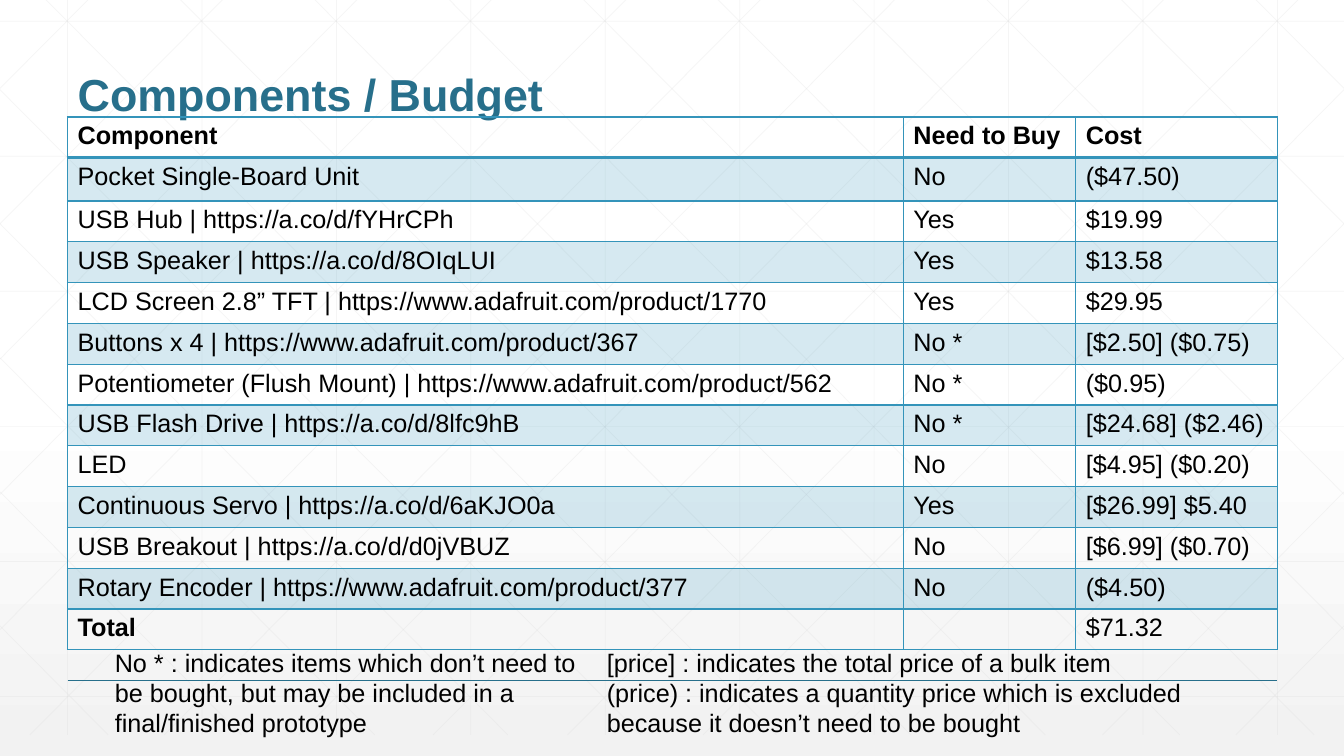
from dataclasses import dataclass

from lxml import etree
from pptx import Presentation
from pptx.dml.color import RGBColor
from pptx.enum.shapes import MSO_CONNECTOR as Connector
from pptx.enum.text import MSO_ANCHOR as Anchor, MSO_AUTO_SIZE as AutoSize, PP_ALIGN as Align
from pptx.oxml.ns import qn
from pptx.util import Inches, Pt

WHITE = RGBColor(0xFF, 0xFF, 0xFF)
BLACK = RGBColor(0x00, 0x00, 0x00)
PALE_GREY = RGBColor(0xF2, 0xF2, 0xF2)
GRID_GREY = RGBColor(0xD9, 0xD9, 0xD9)
ACCENT = RGBColor(0x34, 0x94, 0xBA)
DARK_ACCENT = RGBColor(0x27, 0x6F, 0x8B)
FONT = "Arial"

WIDTH, HEIGHT = 13.33, 7.5
GRID_TOP, GRID_BOTTOM = -0.21, 7.29
GRID_STEP = 4 / 3
DIAGONAL_RUN = 7.45
DIAGONAL_SLOPE = (GRID_BOTTOM - GRID_TOP) / DIAGONAL_RUN

TABLE_HEIGHT = 5.29
FIRST_ITEM_HEIGHT = 0.43
COLUMN_WIDTHS = (8.29, 1.71, 2)


@dataclass(frozen=True)
class Line:
    x1: float
    y1: float
    x2: float
    y2: float

    def mirrored(self) -> "Line":
        return Line(WIDTH - self.x1, self.y1, WIDTH - self.x2, self.y2)


@dataclass(frozen=True)
class Row:
    component: str
    need: str
    cost: str


@dataclass(frozen=True)
class Note:
    left: float
    width: float
    lines: tuple[str, ...]


ROWS = (
    Row("Component", "Need to Buy", "Cost"),
    Row("Pocket Single-Board Unit", "No", "($47.50)"),
    Row("USB Hub | https://a.co/d/fYHrCPh", "Yes", "$19.99"),
    Row("USB Speaker | https://a.co/d/8OIqLUI", "Yes", "$13.58"),
    Row("LCD Screen 2.8” TFT | https://www.adafruit.com/product/1770", "Yes", "$29.95"),
    Row("Buttons x 4 | https://www.adafruit.com/product/367", "No *", "[$2.50] ($0.75)"),
    Row("Potentiometer (Flush Mount) | https://www.adafruit.com/product/562", "No *", "($0.95)"),
    Row("USB Flash Drive | https://a.co/d/8lfc9hB", "No *", "[$24.68] ($2.46)"),
    Row("LED", "No", "[$4.95] ($0.20)"),
    Row("Continuous Servo | https://a.co/d/6aKJO0a", "Yes", "[$26.99] $5.40"),
    Row("USB Breakout | https://a.co/d/d0jVBUZ", "No", "[$6.99] ($0.70)"),
    Row("Rotary Encoder | https://www.adafruit.com/product/377", "No", "($4.50)"),
    Row("Total", "", "$71.32"),
)

NOTES = (
    Note(5.92, 6.62, (
        "[price] : indicates the total price of a bulk item",
        "(price) : indicates a quantity price which is excluded because it doesn’t need to be bought",
    )),
    Note(1.04, 4.92, (
        "No * : indicates items which don’t need to be bought, but may be included in a final/finished prototype",
    )),
)


def set_alpha(element, percent: int) -> None:
    color = next(element.iter(qn("a:srgbClr")))
    etree.SubElement(color, qn("a:alpha"), val=str(percent * 1000))


def style_font(paragraph, size: float, color: RGBColor, bold: bool = False) -> None:
    font = paragraph.font
    font.name, font.size, font.bold = FONT, Pt(size), bold
    font.color.rgb = color


def add_line(slide, line: Line, color: RGBColor, width: float, alpha: int = 100) -> None:
    connector = slide.shapes.add_connector(
        Connector.STRAIGHT, Inches(line.x1), Inches(line.y1), Inches(line.x2), Inches(line.y2))
    connector.line.color.rgb = color
    connector.line.width = Pt(width)
    properties = connector.element.spPr
    if alpha < 100:
        set_alpha(properties, alpha)
    etree.SubElement(properties, qn("a:effectLst"))


def grid_lines() -> list[Line]:
    columns = [0.67 + GRID_STEP * i for i in range(10)]
    rows = [0.21 + 1.34 * i for i in range(6)]
    lines = [Line(x, GRID_TOP, x, GRID_BOTTOM) for x in columns]
    lines += [Line(0, y, WIDTH, y) for y in rows]
    diagonals = []
    for i in range(10):
        start = 0.25 + GRID_STEP * i
        end = min(start + DIAGONAL_RUN, WIDTH)
        diagonals.append(Line(start, GRID_TOP, end, GRID_TOP + (end - start) * DIAGONAL_SLOPE))
    for i in range(5):
        start = 0.89 + 1.33 * i
        diagonals.append(Line(0, start, (GRID_BOTTOM - start) / DIAGONAL_SLOPE, GRID_BOTTOM))
    return lines + diagonals + [line.mirrored() for line in diagonals]


def set_background(slide) -> None:
    fill = slide.background.fill
    fill.gradient()
    fill.gradient_angle = 270
    for stop, position, color in zip(fill.gradient_stops, (0.53, 1), (WHITE, PALE_GREY)):
        stop.position = position
        stop.color.rgb = color


def set_title(slide) -> None:
    title = slide.shapes.title
    title.left, title.top, title.width, title.height = map(Inches, (0.67, 0.25, 12, 1))
    title.element.getparent().append(title.element)
    frame = title.text_frame
    frame.text = "Components / Budget"
    frame.vertical_anchor = Anchor.BOTTOM
    frame.auto_size = AutoSize.NONE
    paragraph = frame.paragraphs[0]
    paragraph.alignment = Align.LEFT
    paragraph.line_spacing = 0.9
    style_font(paragraph, 32, DARK_ACCENT, True)


def set_borders(cell, top: float, bottom: float) -> None:
    properties = cell._tc.get_or_add_tcPr()
    sides = {"a:lnL": 1, "a:lnR": 1, "a:lnT": top, "a:lnB": bottom}
    for index, (tag, width) in enumerate(sides.items()):
        border = etree.Element(qn(tag), w=str(Pt(width)))
        fill = etree.SubElement(border, qn("a:solidFill"))
        etree.SubElement(fill, qn("a:srgbClr"), val=str(ACCENT))
        properties.insert(index, border)


def add_budget_table(slide) -> None:
    table = slide.shapes.add_table(
        len(ROWS), len(COLUMN_WIDTHS),
        Inches(0.67), Inches(1.16), Inches(12), Inches(TABLE_HEIGHT)).table
    table.horz_banding = False
    for column, width in zip(table.columns, COLUMN_WIDTHS):
        column.width = Inches(width)
    usual_height = (TABLE_HEIGHT - FIRST_ITEM_HEIGHT) / (len(ROWS) - 1)
    for index, row in enumerate(ROWS):
        table.rows[index].height = Inches(FIRST_ITEM_HEIGHT if index == 1 else usual_height)
        for column, text in enumerate((row.component, row.need, row.cost)):
            cell = table.cell(index, column)
            cell.text = text
            style_font(cell.text_frame.paragraphs[0], 18, BLACK, index == 0 or text == "Total")
            if index % 2:
                cell.fill.solid()
                cell.fill.fore_color.rgb = ACCENT
                set_alpha(cell._tc.tcPr, 20)
            else:
                cell.fill.background()
            set_borders(cell, 2 if index == 1 else 1, 2 if index == 0 else 1)


def add_note(slide, note: Note) -> None:
    box = slide.shapes.add_textbox(Inches(note.left), Inches(6.37), Inches(note.width), Inches(1.01))
    frame = box.text_frame
    frame.word_wrap = True
    frame.auto_size = AutoSize.SHAPE_TO_FIT_TEXT
    frame.text = "\n".join(note.lines)
    for paragraph in frame.paragraphs:
        style_font(paragraph, 18, BLACK)


def main() -> None:
    presentation = Presentation()
    presentation.slide_width = Inches(WIDTH)
    presentation.slide_height = Inches(HEIGHT)
    slide = presentation.slides.add_slide(presentation.slide_layouts[5])
    set_background(slide)
    for line in grid_lines():
        add_line(slide, line, GRID_GREY, 0.5, 25)
    add_line(slide, Line(0.67, 6.75, 12.67, 6.75), DARK_ACCENT, 1)
    set_title(slide)
    add_budget_table(slide)
    for note in NOTES:
        add_note(slide, note)
    presentation.save("out.pptx")


if __name__ == "__main__":
    main()
